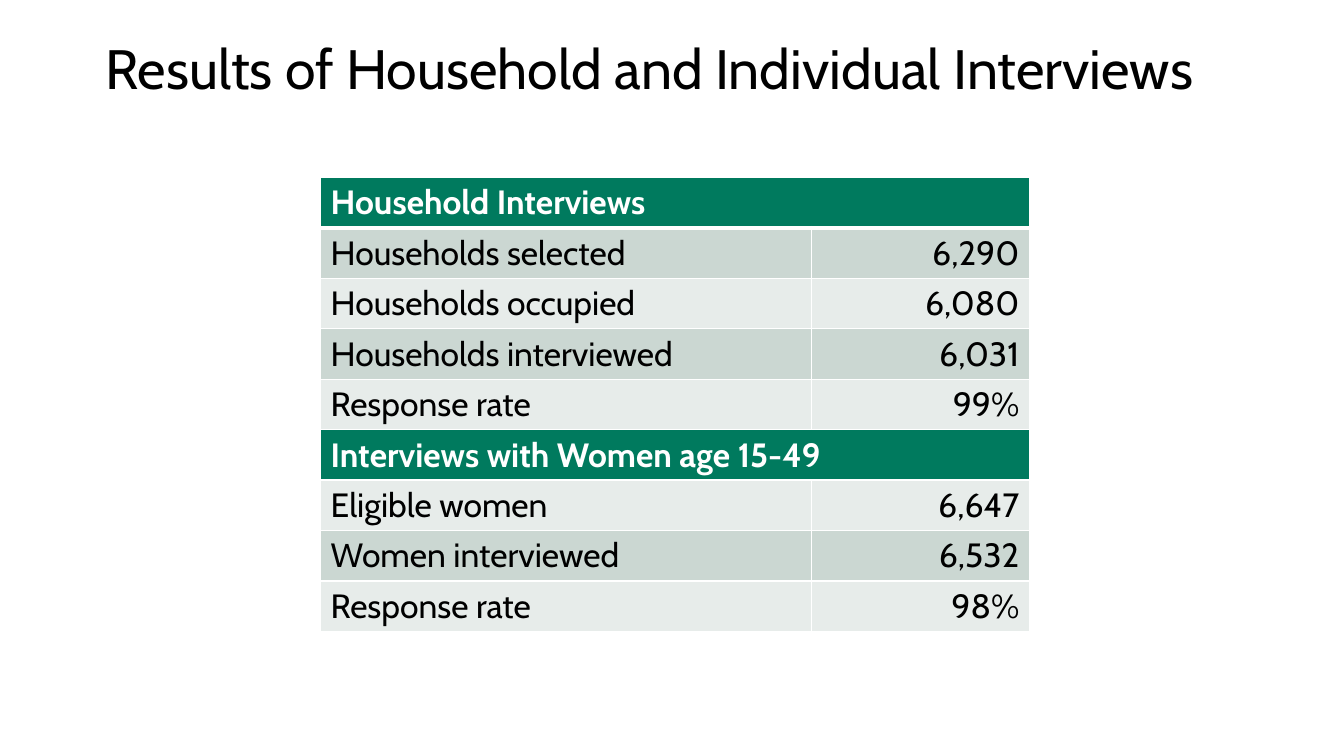
from lxml import etree
from pptx import Presentation
from pptx import util as u
from pptx.dml.color import RGBColor
from pptx.enum import text
from pptx.oxml.ns import qn

TITLE = "Results of Household and Individual Interviews"
ROWS = [
    ("Household Interviews",),
    ("Households selected", "6,290"),
    ("Households occupied", "6,080"),
    ("Households interviewed", "6,031"),
    ("Response rate", "99%"),
    ("Interviews with Women age 15-49",),
    ("Eligible women", "6,647"),
    ("Women interviewed", "6,532"),
    ("Response rate", "98%"),
]
COLS = (4.87, 2.16)
ROW = 0.5
FONT = "Cabin"
BLACK = RGBColor(0, 0, 0)
WHITE = RGBColor(255, 255, 255)
GREEN = RGBColor(0x00, 0x7A, 0x5E)
BANDS = (RGBColor(0xE7, 0xEC, 0xEA), RGBColor(0xCB, 0xD7, 0xD2))


def style(para, size, color, bold=False):
    for run in para.runs:
        run.font.name = FONT
        run.font.size = u.Pt(size)
        run.font.bold = bold
        run.font.color.rgb = color


def border(cell, widths):
    props = cell._tc.get_or_add_tcPr()
    for side, width in zip("LRTB", widths):
        line = etree.SubElement(props, qn(f"a:ln{side}"), w=str(u.Pt(width)))
        fill = etree.SubElement(line, qn("a:solidFill"))
        etree.SubElement(fill, qn("a:srgbClr"), val=str(WHITE))


def add_title(slide):
    box = slide.shapes.add_textbox(*map(u.Inches, (0.95, 0.18, 11.5, 1.05)))
    frame = box.text_frame
    frame.word_wrap = True
    frame.vertical_anchor = text.MSO_ANCHOR.MIDDLE
    frame.text = TITLE
    para = frame.paragraphs[0]
    para.line_spacing = 0.9
    style(para, 39.6, BLACK)


def add_results(slide):
    size = (3.18, 1.76, sum(COLS), ROW * len(ROWS))
    table = slide.shapes.add_table(len(ROWS), len(COLS), *map(u.Inches, size)).table
    for col, width in zip(table.columns, COLS):
        col.width = u.Inches(width)
    for i, row in enumerate(ROWS):
        head = len(row) == 1
        top, bottom = (3 if i == 1 else 1), (3 if i == 0 else 1)
        for j in range(len(COLS)):
            cell = table.cell(i, j)
            border(cell, (1, 1, top, bottom))
            cell.fill.solid()
            cell.fill.fore_color.rgb = GREEN if head else BANDS[i % 2]
        if head:
            table.cell(i, 0).merge(table.cell(i, 1))
        for j, value in enumerate(row):
            frame = table.cell(i, j).text_frame
            frame.text = value
            para = frame.paragraphs[0]
            para.alignment = text.PP_ALIGN.RIGHT if j else text.PP_ALIGN.LEFT
            style(para, 24, WHITE if head else BLACK, head)


def main():
    deck = Presentation()
    deck.slide_width, deck.slide_height = u.Inches(13.33), u.Inches(7.5)
    slide = deck.slides.add_slide(deck.slide_layouts[6])
    add_title(slide)
    add_results(slide)
    deck.save("out.pptx")


if __name__ == "__main__":
    main()
